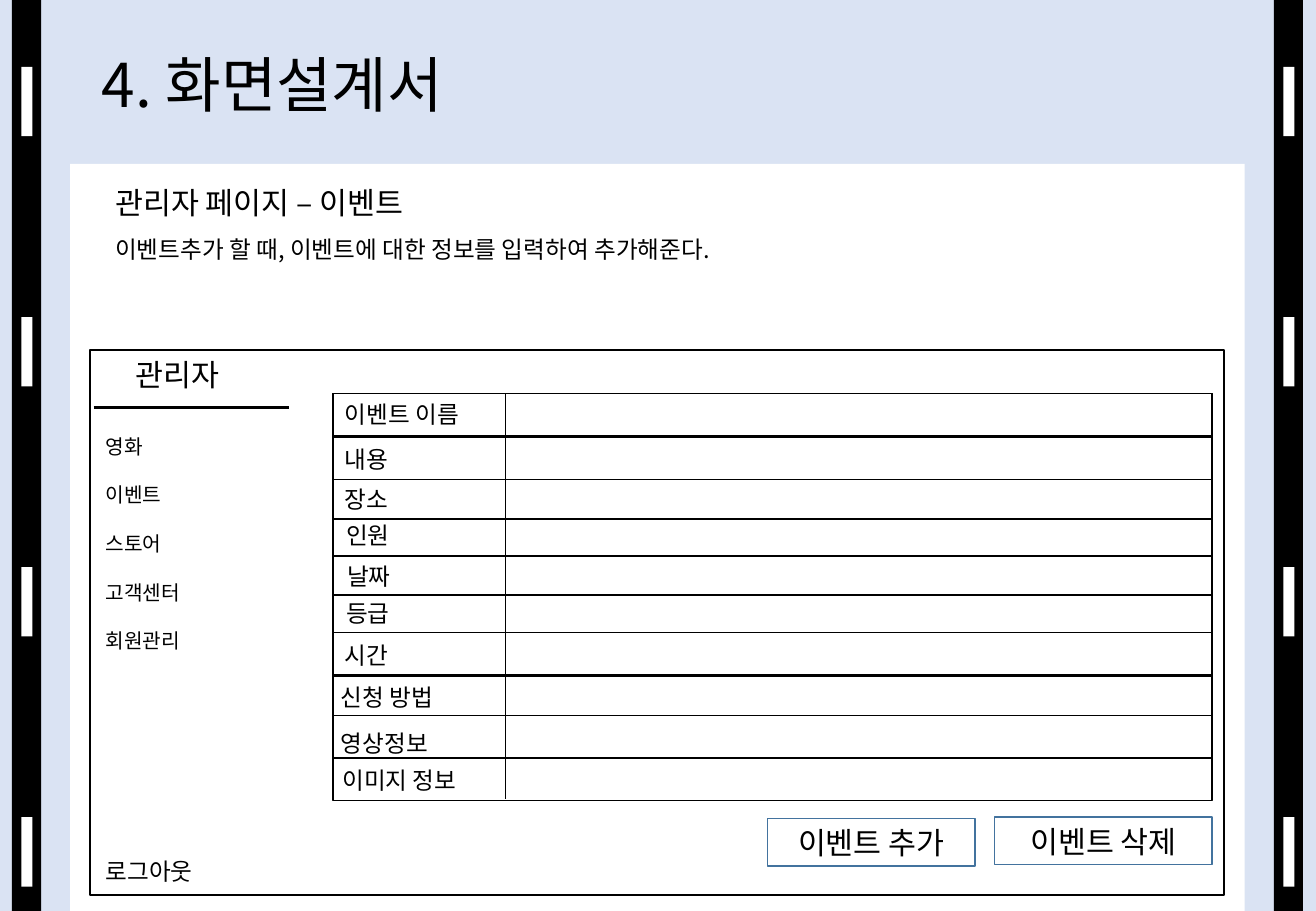
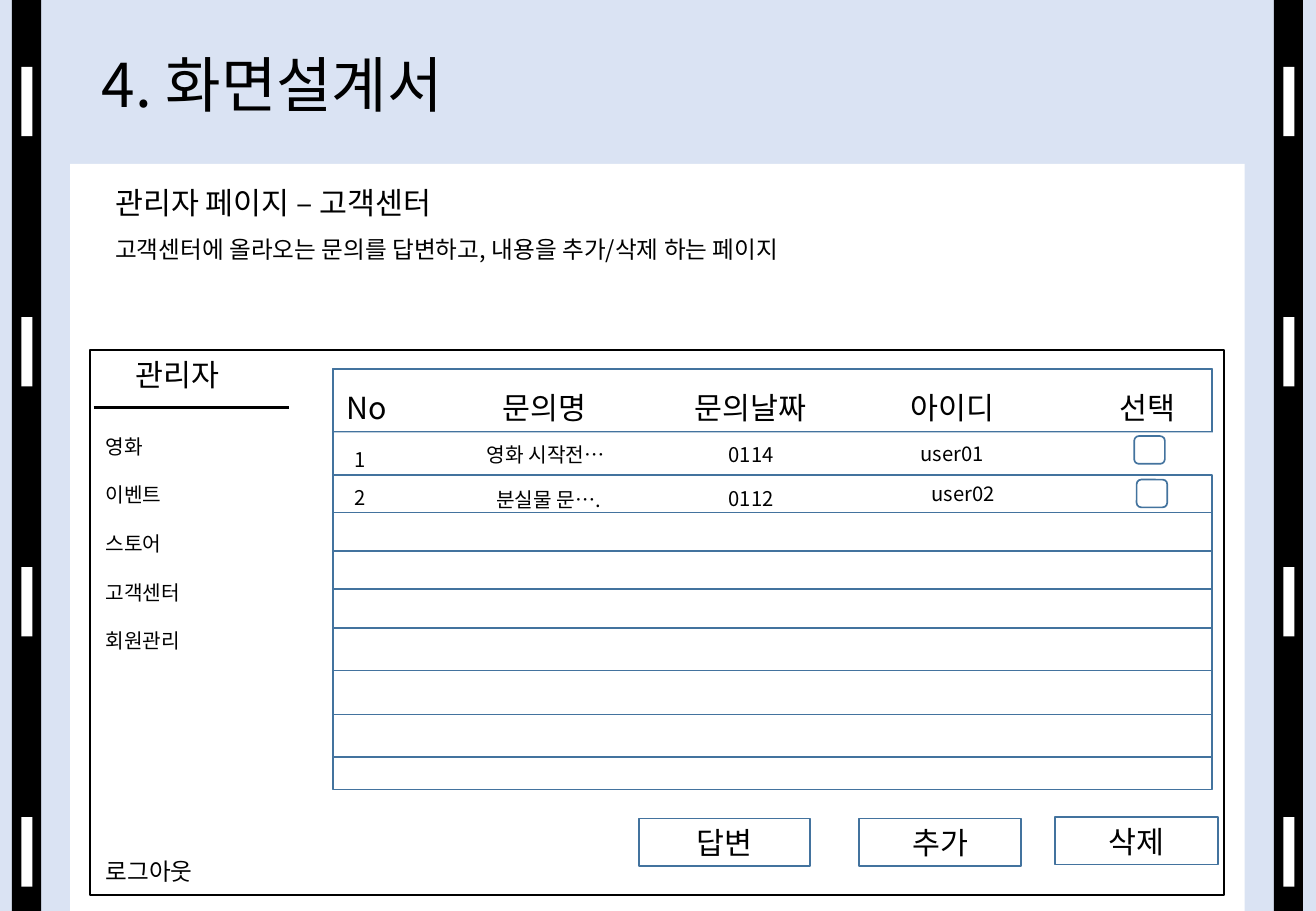
"""Build two screen-design slides for the administrator pages."""
from lxml import etree
from pptx import Presentation
from pptx import util as u
from pptx.dml.color import RGBColor
from pptx.enum import shapes, text
from pptx.oxml.ns import qn

SKY = RGBColor(0xDA, 0xE3, 0xF3)
BLACK = RGBColor(0, 0, 0)
WHITE = RGBColor(255, 255, 255)
BLUE = RGBColor(0x43, 0x73, 0x9E)
FONT = "Noto Sans CJK KR"
RECT = shapes.MSO_SHAPE.RECTANGLE
ROUND = shapes.MSO_SHAPE.ROUNDED_RECTANGLE
LEFT, CENTER = text.PP_ALIGN.LEFT, text.PP_ALIGN.CENTER
TOP, MIDDLE = text.MSO_ANCHOR.TOP, text.MSO_ANCHOR.MIDDLE
WIDTH, HEIGHT = 27.52, 19.05
GRID_LEFT, GRID_WIDTH, ROW_HEIGHT = 6.96, 18.39, 0.89
MENU = ["영화", "이벤트", "스토어", "고객센터", "회원관리"]


def write(sp, content, size=14, font=FONT, align=LEFT, anchor=TOP, gap=0, line=1.0,
          indent=0, drop=0):
    tf = sp.text_frame
    tf.word_wrap = True
    tf.auto_size = text.MSO_AUTO_SIZE.NONE
    tf.vertical_anchor = anchor
    tf.margin_left, tf.margin_top = u.Cm(0.25 + indent), u.Cm(0.13 + drop)
    tf.margin_right, tf.margin_bottom = u.Cm(0.25), u.Cm(0.13)
    for i, words in enumerate(content.split("\n")):
        p = tf.add_paragraph() if i else tf.paragraphs[0]
        p.alignment, p.line_spacing = align, line
        p.space_before = u.Pt(gap if i else 0)
        r = p.add_run()
        r.text = words
        r.font.size, r.font.name = u.Pt(size), font
        r.font.color.rgb = BLACK
        etree.SubElement(r.font._element, qn("a:ea"), typeface=FONT)


class Deck:
    def __init__(self):
        self.prs = Presentation()
        self.prs.slide_width, self.prs.slide_height = u.Cm(WIDTH), u.Cm(HEIGHT)
        fill = self.prs.slide_master.background.fill
        fill.solid()
        fill.fore_color.rgb = SKY
        self.layout = self.prs.slide_layouts[5]
        self.s = None

    def box(self, x, y, w, h, fill=WHITE, line=None, kind=RECT):
        sp = self.s.shapes.add_shape(kind, u.Cm(x), u.Cm(y), u.Cm(w), u.Cm(h))
        sp.shadow.inherit = False
        if fill is None:
            sp.fill.background()
        else:
            sp.fill.solid()
            sp.fill.fore_color.rgb = fill
        if line is None:
            sp.line.fill.background()
        else:
            sp.line.color.rgb, sp.line.width = line, u.Pt(1)
        return sp

    def label(self, content, x, y, w, h=0.86, **fmt):
        sp = self.s.shapes.add_textbox(u.Cm(x), u.Cm(y), u.Cm(w), u.Cm(h))
        write(sp, content, **fmt)

    def rule(self, x1, y1, x2, y2, width):
        c = self.s.shapes.add_connector(shapes.MSO_CONNECTOR.STRAIGHT,
                                        u.Cm(x1), u.Cm(y1), u.Cm(x2), u.Cm(y2))
        c.line.color.rgb, c.line.width = BLACK, u.Pt(width)
        etree.SubElement(c._element.spPr, qn("a:effectLst"))

    def button(self, content, x, y, w):
        write(self.box(x, y, w, 0.99, line=BLUE), content, size=18, align=CENTER,
              anchor=MIDDLE)

    def rows(self, tops, line):
        for y in tops:
            self.box(GRID_LEFT, y, GRID_WIDTH, ROW_HEIGHT, line=line)

    def film_strips(self):
        strips = []
        for x in (0.25, 26.64):
            strips.append(self.box(x, 0, 0.61, HEIGHT, BLACK))
            strips += [self.box(x + 0.2, 1.4 + 5.23 * i, 0.23, 1.45) for i in range(4)]
        for i, sp in enumerate(strips):
            sp._element.nvSpPr.cNvPr.id = 100 + i
            self.layout.shapes._spTree.insert(2 + i, sp._element)

    def page(self, heading, summary):
        first = self.s is None
        self.s = self.prs.slides.add_slide(self.layout)
        if first:
            self.film_strips()
        title = self.s.shapes.title
        title.left, title.top = u.Cm(1.88), u.Cm(0)
        title.width, title.height = u.Cm(23.72), u.Cm(3.68)
        write(title, "4. 화면설계서", size=35.8, anchor=MIDDLE, line=0.9)
        self.box(1.47, 3.43, 24.56, 15.62)
        window = self.box(1.88, 7.32, 23.72, 11.4, None, BLACK, ROUND)
        window.adjustments[0] = 0
        self.label("관리자", 1.88, 7.32, 4.47, 1.02, size=18, indent=0.71)
        self.rule(1.96, 8.53, 6.05, 8.53, 1.75)
        self.label("\n".join(MENU), 1.96, 8.53, 4.09, 5.31, size=12, gap=14.4, drop=0.42)
        self.label("로그아웃", 1.96, 17.78, 3)
        self.label(heading, 2.16, 3.73, 10, 1.02, size=18, font="Arial")
        self.label(summary, 2.16, 4.78, 23.47)


deck = Deck()

deck.page("관리자 페이지 – 이벤트", "이벤트추가 할 때, 이벤트에 대한 정보를 입력하여 추가해준다.")
deck.box(GRID_LEFT, 8.23, GRID_WIDTH, 8.48, line=BLACK)
deck.rows([8.23, 9.14, 10.03, 10.85, 11.63, 12.45, 13.23, 14.15, 14.96, 15.85], BLACK)
deck.rule(10.57, 8.23, 10.57, 16.71, 0.5)
for field, x, y in [
    ("이벤트 이름", 6.96, 8.23), ("내용", 6.96, 9.17), ("장소", 6.96, 10.01),
    ("인원", 6.99, 10.77), ("날짜", 7.01, 11.61), ("등급", 6.99, 12.4),
    ("시간", 6.96, 13.28), ("신청 방법", 6.88, 14.15), ("영상정보", 6.88, 15.11),
    ("이미지 정보", 6.91, 15.88),
]:
    deck.label(field, x, y, 3.61)
deck.button("이벤트 추가", 16.05, 17.12, 4.34)
deck.button("이벤트 삭제", 20.8, 17.09, 4.55)

deck.page("관리자 페이지 – 고객센터", "고객센터에 올라오는 문의를 답변하고, 내용을 추가/삭제 하는 페이지")
deck.box(GRID_LEFT, 7.72, GRID_WIDTH, 8.79, line=BLUE)
deck.box(GRID_LEFT, 7.72, GRID_WIDTH, 1.32, line=BLUE)
for column, x, w in [("No", 6.99, 1.6), ("문의명", 10.26, 3.23), ("문의날짜", 14.27, 3.28),
                     ("아이디", 18.8, 3.15), ("선택", 23.16, 1.83)]:
    deck.label(column, x, 8, w, 1.02, size=18)
deck.box(6.99, 9.04, GRID_WIDTH, ROW_HEIGHT)
deck.rows([9.93, 10.72, 11.53, 12.32, 13.13, 14.94], BLUE)
for x, y in [(23.72, 9.12), (23.77, 10.03)]:
    deck.box(x, y, 0.64, 0.58, line=BLUE, kind=ROUND)
for value, x, y, w in [
    ("1", 7.16, 9.22, 1.6), ("영화 시작전…", 9.93, 9.12, 4.34),
    ("0114", 14.99, 9.12, 3.43), ("user01", 19, 9.09, 3.07),
    ("2", 7.16, 10.01, 1.6), ("분실물 문….", 10.13, 10.06, 3.43),
    ("0112", 14.99, 10.03, 3.43), ("user02", 19.23, 9.93, 3.43),
]:
    deck.label(value, x, y, w, 0.76, size=12)
for action, x, y, w in [("답변", 13.36, 17.12, 3.58), ("추가", 17.96, 17.12, 3.4),
                        ("삭제", 22.07, 17.09, 3.4)]:
    deck.button(action, x, y, w)

deck.prs.save("out.pptx")
